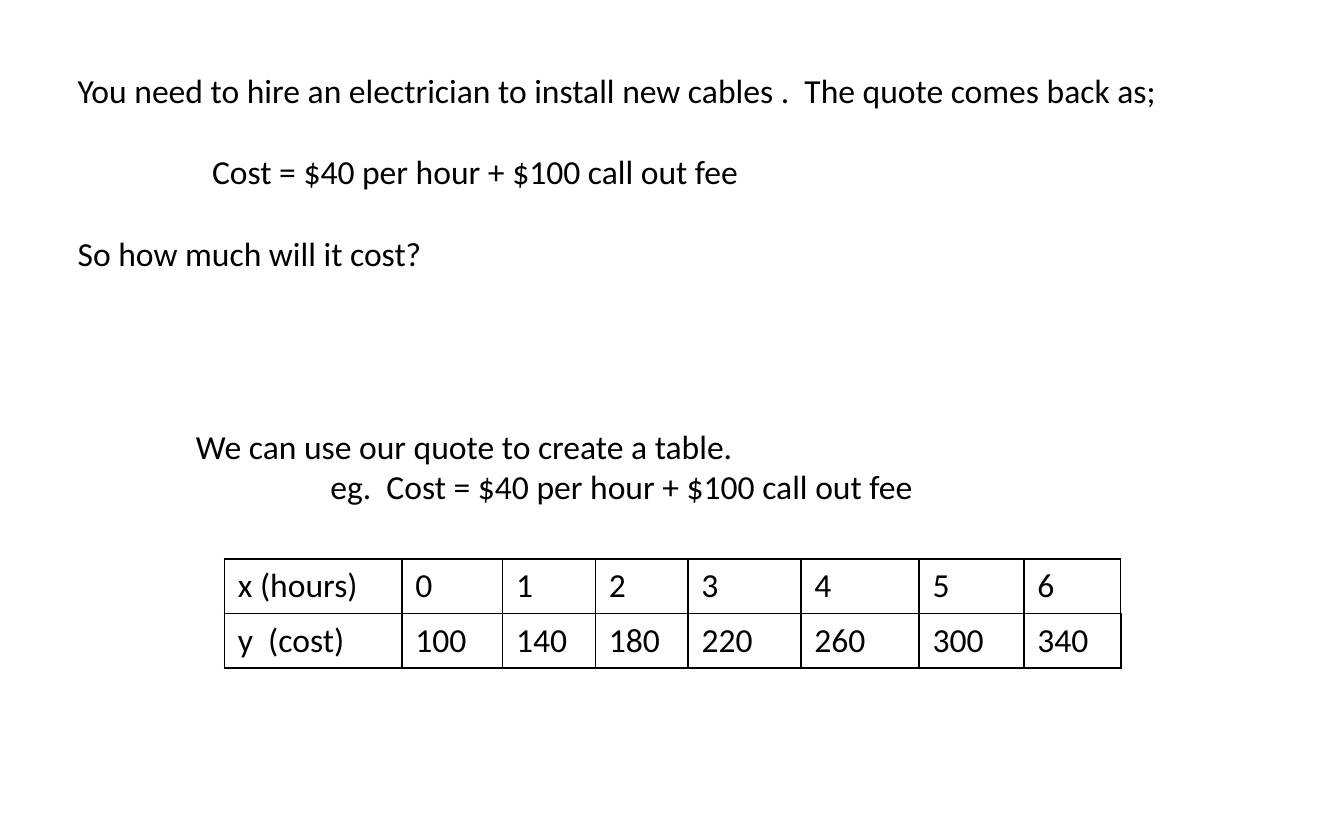
from dataclasses import dataclass

from lxml import etree
from pptx import Presentation
from pptx.dml.color import RGBColor
from pptx.oxml import ns
from pptx.util import Inches, Pt

BLACK = RGBColor(0x00, 0x00, 0x00)
FONT = "Calibri"
SIZE = Pt(18)
LINE_GAP = Pt(22)  # one line of 18 pt text
ROW_HEIGHT = 0.405
LABEL_WIDTH = 1.32
HOUR_WIDTHS = [0.75, 0.69, 0.69, 0.84, 0.88, 0.78, 0.72]


@dataclass
class Line:
    text: str
    indented: bool = False


@dataclass
class TextBlock:
    left: float
    top: float
    width: float
    height: float
    lines: list[Line]
    gap: int = 0


@dataclass
class Grid:
    left: float
    top: float
    widths: list[float]
    rows: list[list[str]]


def set_font(p) -> None:
    p.font.name = FONT
    p.font.size = SIZE
    p.font.color.rgb = BLACK


def add_text(slide, block: TextBlock) -> None:
    box = slide.shapes.add_textbox(Inches(block.left), Inches(block.top),
                                   Inches(block.width), Inches(block.height))
    tf = box.text_frame
    tf.word_wrap = True
    for i, line in enumerate(block.lines):
        p = tf.add_paragraph() if i else tf.paragraphs[0]
        p.text = line.text
        if line.indented:
            p._p.get_or_add_pPr().set("marL", str(Inches(1)))
        if i and block.gap:
            p.space_before = block.gap
        set_font(p)


def add_borders(cell) -> None:
    tc_pr = cell._tc.get_or_add_tcPr()
    for side in ("a:lnL", "a:lnR", "a:lnT", "a:lnB"):
        ln = etree.SubElement(tc_pr, ns.qn(side), w=str(Pt(1)))
        fill = etree.SubElement(ln, ns.qn("a:solidFill"))
        etree.SubElement(fill, ns.qn("a:srgbClr"), val=str(BLACK))


def add_grid(slide, grid: Grid) -> None:
    table = slide.shapes.add_table(
        len(grid.rows), len(grid.widths), Inches(grid.left), Inches(grid.top),
        Inches(sum(grid.widths)), Inches(ROW_HEIGHT * len(grid.rows))).table
    table.first_row = False
    table.horz_banding = False
    for column, width in zip(table.columns, grid.widths):
        column.width = Inches(width)
    for r, values in enumerate(grid.rows):
        table.rows[r].height = Inches(ROW_HEIGHT)
        for c, value in enumerate(values):
            cell = table.cell(r, c)
            cell.text = value
            set_font(cell.text_frame.paragraphs[0])
            add_borders(cell)
            cell.fill.background()


def main() -> None:
    prs = Presentation()
    prs.slide_width, prs.slide_height = Inches(10), Inches(6.25)
    slide = prs.slides.add_slide(prs.slide_layouts[6])

    # Question and lead-in to the table
    quote = "Cost = $40 per hour + $100 call out fee"
    add_text(slide, TextBlock(0.48, 0.47, 9.04, 1.62, [
        Line("You need to hire an electrician to install new cables .  "
             "The quote comes back as;"),
        Line(quote, indented=True),
        Line("So how much will it cost?"),
    ], gap=LINE_GAP))
    add_text(slide, TextBlock(1.36, 3.12, 6.27, 0.71, [
        Line("We can use our quote to create a table."),
        Line(f"eg.  {quote}", indented=True),
    ]))

    # Hours table, with the costs as a separate answer row on top
    hours = range(len(HOUR_WIDTHS))
    left, top = 1.67, 4.16
    add_grid(slide, Grid(left, top, [LABEL_WIDTH] + HOUR_WIDTHS, [
        ["x (hours)"] + [str(h) for h in hours],
        ["y  (cost)"] + [""] * len(hours),
    ]))
    add_grid(slide, Grid(left + LABEL_WIDTH, top + ROW_HEIGHT, HOUR_WIDTHS,
                         [[str(100 + 40 * h) for h in hours]]))

    prs.save("out.pptx")


if __name__ == "__main__":
    main()
